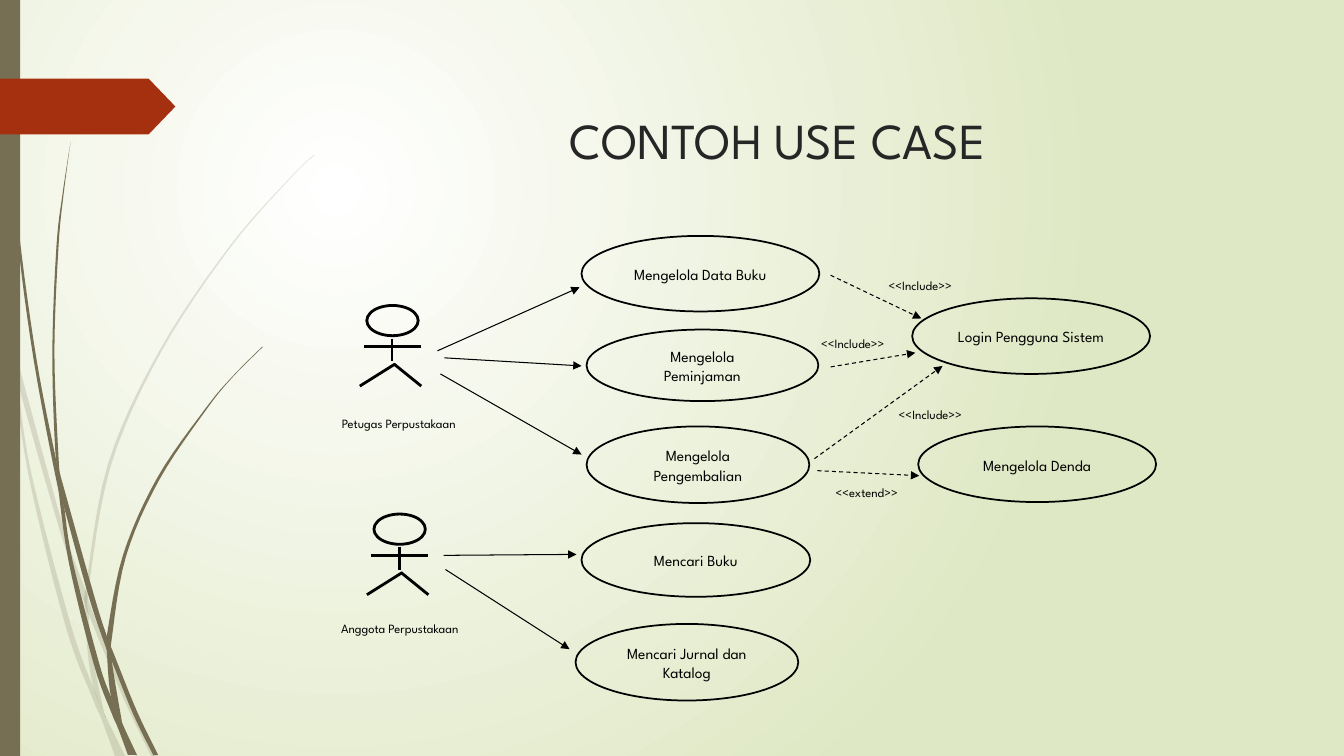
"""Build the library use case diagram slide."""
from dataclasses import dataclass

from lxml import etree
from pptx import Presentation
from pptx.dml.color import RGBColor
from pptx.enum.dml import MSO_LINE
from pptx.enum.shapes import MSO_CONNECTOR, MSO_SHAPE
from pptx.enum.text import MSO_ANCHOR, MSO_AUTO_SIZE, PP_ALIGN
from pptx.oxml.ns import qn
from pptx.util import Pt

ELLIPSE, RECTANGLE, PENTAGON = MSO_SHAPE.OVAL, MSO_SHAPE.RECTANGLE, MSO_SHAPE.PENTAGON
STRAIGHT, DASH = MSO_CONNECTOR.STRAIGHT, MSO_LINE.DASH
CENTER, MIDDLE, NO_AUTOFIT = PP_ALIGN.CENTER, MSO_ANCHOR.MIDDLE, MSO_AUTO_SIZE.NONE
Points = list[tuple[float, float]]


@dataclass(frozen=True)
class Theme:
    font: str = "League Spartan"
    ink: RGBColor = RGBColor(0x00, 0x00, 0x00)
    title_ink: RGBColor = RGBColor(0x26, 0x26, 0x26)
    grass: RGBColor = RGBColor(0x76, 0x6F, 0x54)
    banner: RGBColor = RGBColor(0xA5, 0x30, 0x10)
    glow: RGBColor = RGBColor(0xFF, 0xFF, 0xFF)
    meadow: RGBColor = RGBColor(0xDF, 0xE8, 0xC4)
    title_size: float = 36
    case_size: float = 11
    label_size: float = 9
    figure_line: float = 2
    case_line: float = 1.25
    arrow_line: float = 0.75


@dataclass(frozen=True)
class Blade:
    left: Points
    right: Points
    opacity: int = 100


@dataclass(frozen=True)
class Caption:
    text: str
    x: float
    y: float
    width: float
    height: float


@dataclass(frozen=True)
class Arrow:
    start: tuple[float, float]
    end: tuple[float, float]
    dashed: bool = False


THEME = Theme()
BLADES = [
    Blade([(7.9, 252), (20.2, 338.4), (46.8, 447.1), (66.2, 499), (72.7, 514.1), (82.1, 540)],
          [(12.2, 270.7), (22.3, 337.7), (50.4, 445.7), (67, 491.8), (75.6, 511.9), (89.3, 540)], 20),
    Blade([(10.1, 248.4), (12.2, 270.7), (41.8, 375.8), (60.5, 431.3), (63.4, 439.2), (88.6, 499.7),
           (108, 540)],
          [(10.1, 248.4), (44.6, 374.4), (61.2, 421.9), (66.2, 437), (91.4, 498.2), (111.6, 540)], 20),
    Blade([(224.6, 110.2), (208.1, 126), (164.2, 175.7), (113.8, 250.6), (77, 331.9), (61.2, 420.5),
           (60.5, 431.3), (62.6, 465.1), (67, 491.8), (75.6, 511.9)],
          [(224.6, 110.9), (208.8, 126), (164.9, 176.4), (115.2, 251.3), (79.2, 332.6), (63.4, 420.5),
           (63.4, 439.2), (65.5, 465.1), (74.2, 508.3), (75.6, 511.9)], 20),
    Blade([(2.2, 0), (5, 79.2), (12.2, 167.8), (23.8, 255.6), (40.3, 343.4), (46.1, 363.6),
           (63.4, 426.2), (76.3, 464.4), (79.9, 472.3), (95, 509.8), (109.4, 539.3)],
          [(2.9, 0), (5.8, 78.5), (13.7, 167), (25.9, 255.6), (39.6, 326.2), (43.2, 339.8),
           (67, 424.8), (76.3, 454.3), (81.4, 467.3), (97.9, 508.3), (113, 539.3)]),
    Blade([(41, 343.4), (49, 401), (67, 474.5), (79.9, 509.8), (84.2, 519.8), (91.4, 539.3)],
          [(46.1, 363.6), (51.8, 400.3), (70.6, 473), (79.2, 497.5), (87.8, 517.7), (97.9, 539.3)]),
    Blade([(50.4, 101.5), (44.6, 139), (40.3, 176.4), (37.4, 251.3), (39.6, 323.3), (43.2, 339.8)],
          [(50.4, 101.5), (45.4, 139), (41.8, 176.4), (38.9, 251.3), (41.8, 326.2), (43.2, 339.8)]),
    Blade([(187.2, 247.7), (166.3, 268.6), (146.9, 291.6), (112.3, 341.3), (87.8, 396.7),
           (76.3, 454.3), (76.3, 464.4), (79.2, 497.5), (87.8, 517.7)],
          [(187.9, 247.7), (166.3, 269.3), (147.6, 292.3), (113.8, 342.7), (90, 397.4),
           (79.9, 455.8), (79.9, 472.3), (87.1, 515.5), (87.8, 517.7)]),
]
ACTORS = [(262, 218.2), (267.1, 367.2)]
LIMBS = [((20.2, 41.8), (-5, 57.6)), ((19.4, 41.8), (38.9, 57.6)),
         ((18, 23.8), (18, 39.6)), ((-2.2, 29.5), (38.9, 29.5))]
USE_CASES = [
    Caption("Mengelola Data Buku", 415.4, 168.5, 169.9, 54),
    Caption("Mengelola Peminjaman", 419, 235.4, 165.6, 51.1),
    Caption("Mengelola Pengembalian", 419, 304.6, 159.1, 54.7),
    Caption("Mencari Buku", 415.4, 373.7, 163.4, 52.6),
    Caption("Mencari Jurnal dan Katalog", 411.1, 445.7, 159.1, 54.7),
    Caption("Mengelola Denda", 655.9, 304.6, 169.9, 54),
    Caption("Login Pengguna Sistem", 651.6, 213.1, 169.9, 54),
]
ARROWS = [
    Arrow((312.5, 250.6), (414, 205.2)),
    Arrow((317.5, 255.6), (415.4, 261.4)),
    Arrow((314.6, 267.1), (415.4, 324.7)),
    Arrow((316.8, 396.7), (411.8, 396)),
    Arrow((318.2, 406.8), (406.8, 463.7)),
    Arrow((593.3, 196.6), (658.1, 227.5), True),
    Arrow((581.8, 327.6), (673.2, 261.4), True),
    Arrow((583.9, 336.2), (656.6, 339.8), True),
    Arrow((593.3, 262.1), (653.8, 252), True),
]
LABELS = [
    Caption("<<Include>>", 615.6, 193, 83.5, 20.9),
    Caption("<<Include>>", 567.4, 234.7, 83.5, 20.9),
    Caption("<<Include>>", 622.8, 285.1, 83.5, 20.9),
    Caption("<<extend>>", 577.4, 340.6, 83.5, 20.9),
    Caption("Petugas Perpustakaan", 233.3, 285.8, 103, 33.1),
    Caption("Anggota Perpustakaan", 234, 432, 103, 33.1),
]


def smooth(anchors: Points, steps: int = 6) -> Points:
    padded = [anchors[0], *anchors, anchors[-1]]
    curve = [anchors[0]]
    for a, b, c, d in zip(padded, padded[1:], padded[2:], padded[3:]):
        for step in range(1, steps + 1):
            t = step / steps
            curve.append(tuple(
                q + t * (r - p) / 2 + t * t * (2 * p - 5 * q + 4 * r - s) / 2
                + t ** 3 * (3 * q - p - 3 * r + s) / 2
                for p, q, r, s in zip(a, b, c, d)))
    return curve


def paint(shape, color: RGBColor) -> None:
    shape.shadow.inherit = False
    shape.fill.solid()
    shape.fill.fore_color.rgb = color
    shape.line.fill.background()


def paint_background(slide) -> None:
    fill = slide.background.fill
    fill.gradient()
    for stop, color in zip(fill.gradient_stops, (THEME.glow, THEME.meadow)):
        stop.color.rgb = color
    gradient = slide.element.xpath(".//p:bg//a:gradFill")[0]
    for linear in gradient.findall(qn("a:lin")):
        gradient.remove(linear)
    circle = etree.SubElement(gradient, qn("a:path"), {"path": "circle"})
    etree.SubElement(circle, qn("a:fillToRect"),
                     {"l": "50000", "t": "50000", "r": "100000", "b": "100000"})


def draw_blade(shapes, blade: Blade) -> None:
    outline = smooth(blade.left) + smooth(blade.right)[::-1]
    corners = [(Pt(x), Pt(y)) for x, y in outline]
    builder = shapes.build_freeform(*corners[0])
    builder.add_line_segments(corners[1:], close=True)
    grass = builder.convert_to_shape()
    paint(grass, THEME.grass)
    if blade.opacity < 100:
        color = grass.element.xpath("./p:spPr/a:solidFill/a:srgbClr")[0]
        etree.SubElement(color, qn("a:alpha"), {"val": str(blade.opacity * 1000)})


def draw_line(shapes, start: tuple[float, float], end: tuple[float, float], width: float):
    line = shapes.add_connector(STRAIGHT, *(Pt(value) for value in (*start, *end)))
    line.line.color.rgb = THEME.ink
    line.line.width = Pt(width)
    etree.SubElement(line.element.xpath("./p:spPr")[0], qn("a:effectLst"))
    return line


def draw_arrow(shapes, arrow: Arrow) -> None:
    line = draw_line(shapes, arrow.start, arrow.end, THEME.arrow_line)
    if arrow.dashed:
        line.line.dash_style = DASH
    etree.SubElement(line.element.xpath("./p:spPr/a:ln")[0], qn("a:tailEnd"), {"type": "triangle"})


def draw_ellipse(shapes, x: float, y: float, width: float, height: float, line_width: float):
    ellipse = shapes.add_shape(ELLIPSE, Pt(x), Pt(y), Pt(width), Pt(height))
    ellipse.shadow.inherit = False
    ellipse.fill.background()
    ellipse.line.color.rgb = THEME.ink
    ellipse.line.width = Pt(line_width)
    return ellipse


def draw_actor(shapes, x: float, y: float) -> None:
    draw_ellipse(shapes, x, y, 36.7, 21.6, THEME.figure_line)
    for (x1, y1), (x2, y2) in LIMBS:
        draw_line(shapes, (x + x1, y + y1), (x + x2, y + y2), THEME.figure_line)


def write(frame, text: str, size: float, color: RGBColor):
    frame.word_wrap = True
    frame.auto_size = NO_AUTOFIT
    frame.vertical_anchor = MIDDLE
    paragraph = frame.paragraphs[0]
    paragraph.alignment = CENTER
    run = paragraph.add_run()
    run.text = text
    run.font.name = THEME.font
    run.font.size = Pt(size)
    run.font.color.rgb = color
    return paragraph


def write_caption(shape, text: str, size: float) -> None:
    paragraph = write(shape.text_frame, text, size, THEME.ink)
    paragraph.line_spacing = 1.07
    paragraph.space_after = Pt(8)


def main() -> None:
    deck = Presentation()
    deck.slide_width, deck.slide_height = Pt(960), Pt(540)
    slide = deck.slides.add_slide(deck.slide_layouts[5])
    shapes = slide.shapes
    paint_background(slide)
    for blade in BLADES:
        draw_blade(shapes, blade)
    paint(shapes.add_shape(RECTANGLE, 0, 0, Pt(14.4), Pt(540)), THEME.grass)
    banner = shapes.add_shape(PENTAGON, 0, Pt(56.2), Pt(125.3), Pt(39.8))
    banner.adjustments[0] = 0.48
    paint(banner, THEME.banner)
    title = shapes.title
    title.left, title.top, title.width, title.height = Pt(204.5), Pt(49), Pt(702), Pt(100.8)
    write(title.text_frame, "CONTOH USE CASE", THEME.title_size, THEME.title_ink)
    for x, y in ACTORS:
        draw_actor(shapes, x, y)
    for case in USE_CASES:
        ellipse = draw_ellipse(shapes, case.x, case.y, case.width, case.height, THEME.case_line)
        write_caption(ellipse, case.text, THEME.case_size)
    for arrow in ARROWS:
        draw_arrow(shapes, arrow)
    for label in LABELS:
        note = shapes.add_textbox(Pt(label.x), Pt(label.y), Pt(label.width), Pt(label.height))
        write_caption(note, label.text, THEME.label_size)
    deck.save("out.pptx")


if __name__ == "__main__":
    main()
